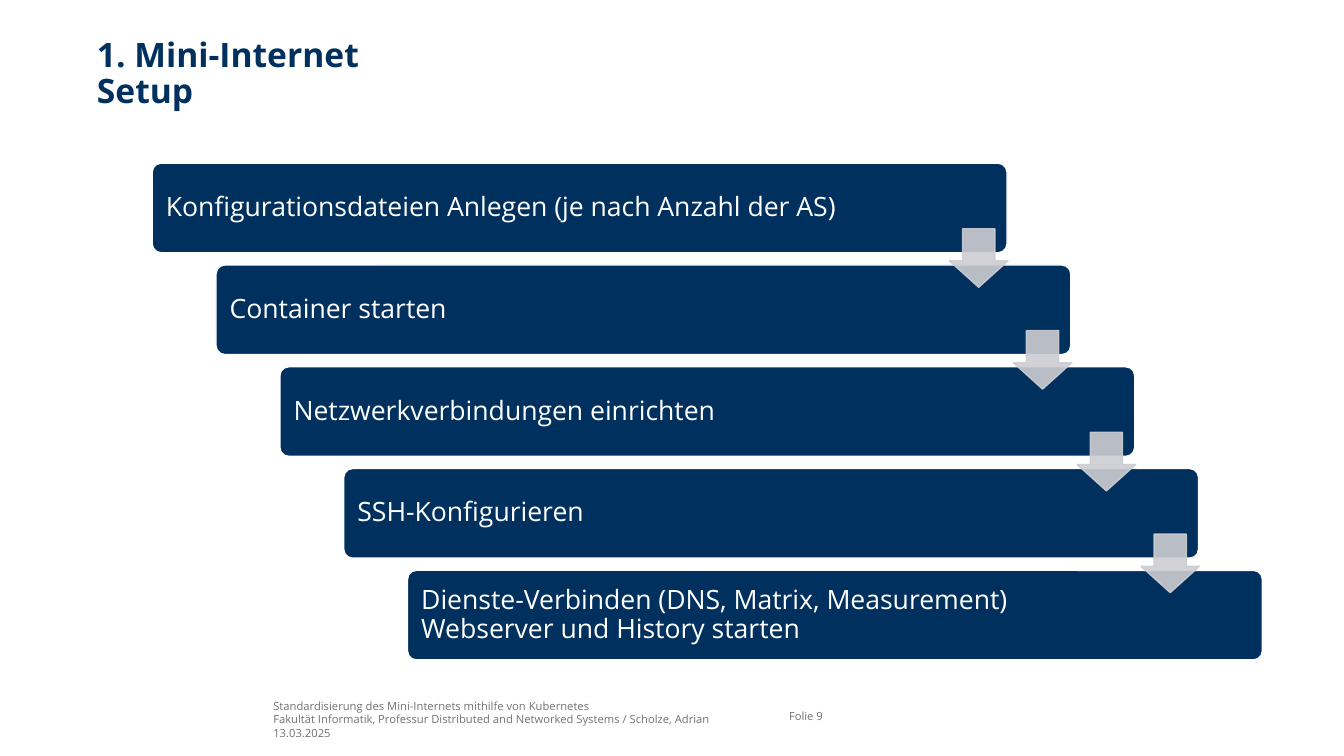
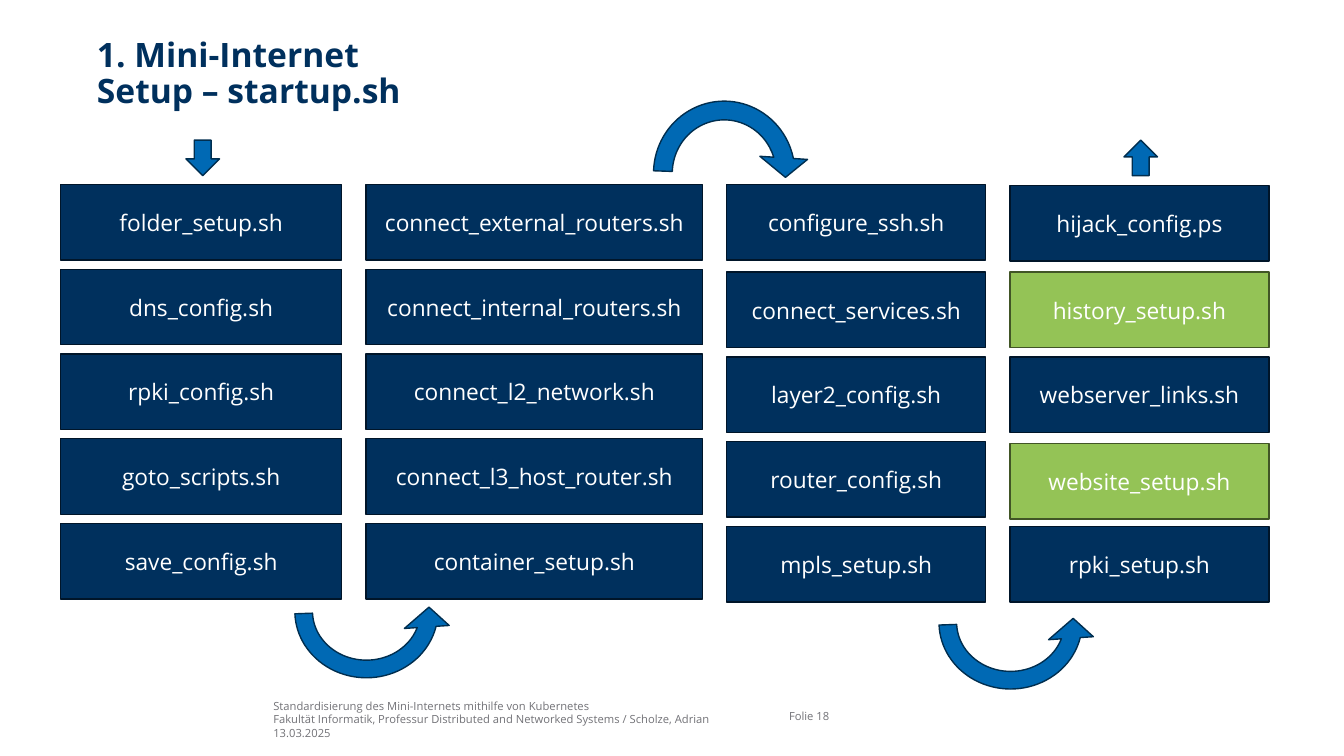
from pptx import Presentation
from pptx.dml.color import RGBColor
from pptx.enum.shapes import MSO_SHAPE as SHAPE
from pptx.enum.text import MSO_ANCHOR as ANCHOR, PP_ALIGN as ALIGN
from pptx.oxml.ns import qn
from pptx.util import Pt
from lxml import etree

FONT = "Open Sans"
COLORS = {
    "navy": "00305D", "navy_line": "001529",
    "green": "94C356", "green_line": "415526",
    "blue": "0069B4", "blue_line": "002E4F",
    "silver": "CCCDD2", "gray": "727277", "white": "FFFFFF",
}
FOOTER = [
    "Standardisierung des Mini-Internets mithilfe von Kubernetes",
    "Fakultät Informatik, Professur Distributed and Networked Systems / Scholze, Adrian",
    "13.03.2025",
]

prs = Presentation()
prs.slide_width, prs.slide_height = Pt(960), Pt(540)


def add_shape(s, kind, box, fill, line):
    sp = s.shapes.add_shape(kind, *[Pt(v) for v in box])
    sp.shadow.inherit = False
    sp.fill.solid()
    sp.fill.fore_color.rgb = RGBColor.from_string(COLORS[fill])
    sp.line.color.rgb = RGBColor.from_string(COLORS[line])
    sp.line.width = Pt(1)
    return sp


def set_text(sp, lines, size, color, align=ALIGN.LEFT, anchor=ANCHOR.MIDDLE,
             margins=(0, 0), spacing=None, bold=False):
    """Fill a shape with one paragraph per line; margins are left and right."""
    tf = sp.text_frame
    tf.word_wrap = True
    tf.vertical_anchor = anchor
    tf.margin_left, tf.margin_right = [Pt(m) for m in margins]
    tf.margin_top = tf.margin_bottom = 0
    for i, line in enumerate(lines):
        p = tf.add_paragraph() if i else tf.paragraphs[0]
        p.text = line
        p.alignment = align
        p.line_spacing = spacing
        p.font.name, p.font.size, p.font.bold = FONT, Pt(size), bold
        p.font.color.rgb = RGBColor.from_string(COLORS[color])


# Title and footer of both slides
slides = []
for title, number in [("1. Mini-Internet\vSetup", 9),
                      ("1. Mini-Internet\vSetup – startup.sh", 18)]:
    s = prs.slides.add_slide(prs.slide_layouts[6])
    slides.append(s)
    for box, lines, size, color, options in [
        ((69.3, 27.4, 833, 54), [title], 24, "navy",
         {"anchor": ANCHOR.TOP, "spacing": 0.9, "bold": True}),
        ((195.2, 497.5, 353, 32.6), FOOTER, 8, "gray", {}),
        ((563.6, 495.5, 55.4, 32.6), [f"Folie {number}"], 8, "gray", {}),
    ]:
        text_box = s.shapes.add_textbox(*[Pt(v) for v in box])
        set_text(text_box, lines, size, color, **options)
setup, startup = slides

# Staircase of setup steps
STEP_X, STEP_Y = 45.6, 72.7
STEPS = [
    "Konfigurationsdateien Anlegen (je nach Anzahl der AS)",
    "Container starten",
    "Netzwerkverbindungen einrichten",
    "SSH-Konfigurieren",
    "Dienste-Verbinden (DNS, Matrix, Measurement) Webserver und History starten",
]
for i, step in enumerate(STEPS):
    box = (108.7 + i * STEP_X, 116.6 + i * STEP_Y, 610.6, 64)
    sp = add_shape(setup, SHAPE.ROUNDED_RECTANGLE, box, "navy", "white")
    sp.adjustments[0] = 0.1
    set_text(sp, [step], 19, "white", margins=(7.9, 100), spacing=0.9)

for i in range(len(STEPS) - 1):
    box = (678.2 + i * STEP_X, 163.4 + i * STEP_Y, 41.8, 41.8)
    sp = add_shape(setup, SHAPE.DOWN_ARROW, box, "silver", "silver")
    sp.adjustments[0], sp.adjustments[1] = 0.55, 0.45
    for clr in sp._element.spPr.iter(qn("a:srgbClr")):
        etree.SubElement(clr, qn("a:alpha")).set("val", "90000")

# Columns of scripts: left, width, tops, names
EVEN_TOPS = [131.8 + 60.5 * i for i in range(5)]
COLUMNS = [
    (43.2, 200.9, EVEN_TOPS,
     ["folder_setup.sh", "dns_config.sh", "rpki_config.sh", "goto_scripts.sh",
      "save_config.sh"]),
    (261.4, 240.5, EVEN_TOPS,
     ["connect_external_routers.sh", "connect_internal_routers.sh",
      "connect_l2_network.sh", "connect_l3_host_router.sh", "container_setup.sh"]),
    (519.1, 185, [131.8, 194.4, 254.9, 315.4, 375.9],
     ["configure_ssh.sh", "connect_services.sh", "layer2_config.sh",
      "router_config.sh", "mpls_setup.sh"]),
    (721.4, 185, [132.5, 194.4, 254.9, 316.8, 375.9],
     ["hijack_config.ps", "history_setup.sh", "webserver_links.sh",
      "website_setup.sh", "rpki_setup.sh"]),
]
HIGHLIGHTED = {"history_setup.sh", "website_setup.sh"}
for left, width, tops, names in COLUMNS:
    for top, name in zip(tops, names):
        fill = "green" if name in HIGHLIGHTED else "navy"
        sp = add_shape(startup, SHAPE.RECTANGLE, (left, top, width, 54),
                       fill, fill + "_line")
        set_text(sp, [name], 16.2, "white", align=ALIGN.CENTER, margins=(7.2, 7.2))

# Arrows into, between and out of the columns
for kind, left in [(SHAPE.DOWN_ARROW, 132.8), (SHAPE.UP_ARROW, 802.8)]:
    add_shape(startup, kind, (left, 100.1, 24, 25.4), "blue", "blue_line")

for left, top, height, below in [(200.9, 379.4, 114.5, True),
                                 (661, 387.4, 114.5, True),
                                 (456.5, 61.9, 123.8, False)]:
    sp = add_shape(startup, SHAPE.CIRCULAR_ARROW, (left, top, 121.7, height),
                   "blue", "blue_line")
    for i, value in enumerate([0.11, 11.01, 207.26, 109.23, 0.14]):
        sp.adjustments[i] = value
    if below:
        sp._element.spPr.find(qn("a:xfrm")).set("flipV", "1")

prs.save("out.pptx")
